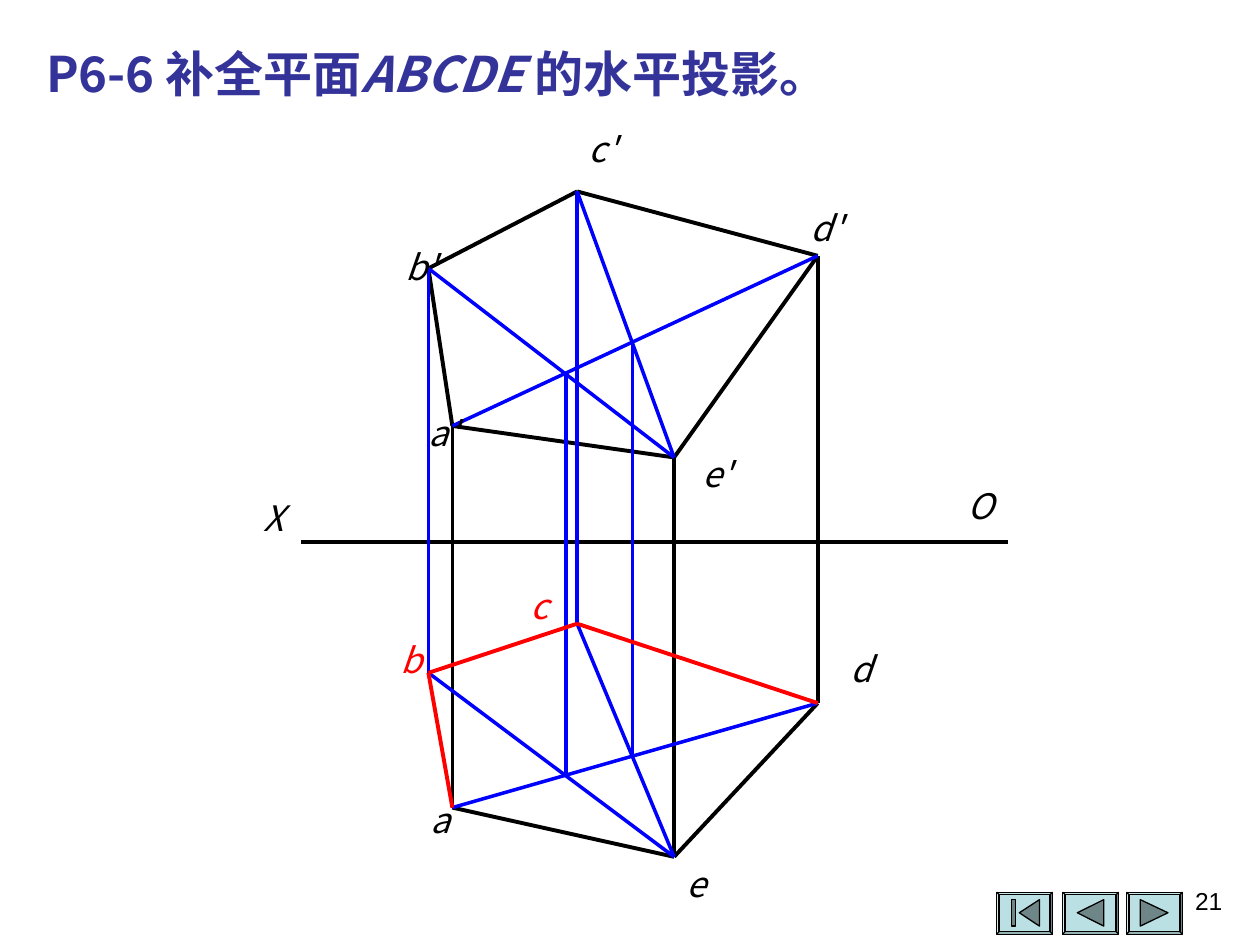
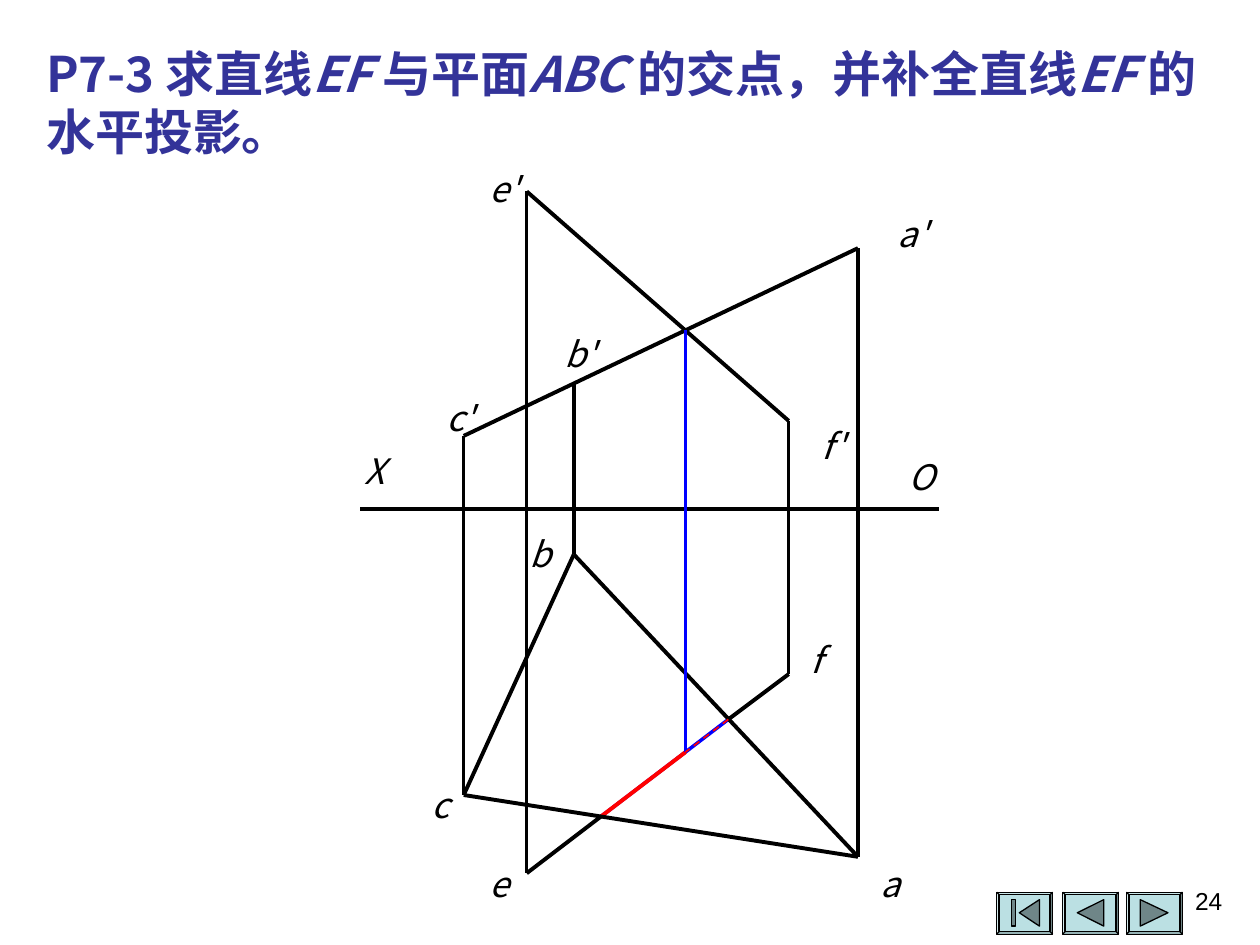
import pptx
import pptx.dml.color
import pptx.enum.dml
import pptx.enum.shapes
import pptx.enum.text
import pptx.oxml.ns
import pptx.util
from lxml import etree

Pt = pptx.util.Pt
ALIGN = pptx.enum.text.PP_ALIGN
SHAPE = pptx.enum.shapes.MSO_SHAPE
SANS = "Noto Sans CJK SC"
BLACK, BLUE, RED = "000000", "0000FF", "FF0000"
NAVY, TEAL, SLATE = "333399", "BBE0E3", "6F8688"
BOLD, FINE = 2.25, 0


def tint(target, code):
    """Colour a font, line or fill with a hex string."""
    if hasattr(target, "solid"):
        target.solid()
        target = target.fore_color
    else:
        target = target.color
    target.rgb = pptx.dml.color.RGBColor.from_string(code)


def write(page, text, x, y, w, h, size=20, color=BLACK, font=SANS, bold=False,
          align=ALIGN.CENTER, pad=(0, 0), wrap=False, line=1.3, grow=True):
    """Add a text box; text between asterisks is italic."""
    box = page.shapes.add_textbox(Pt(x), Pt(y), Pt(w), Pt(h))
    frame = box.text_frame
    frame.word_wrap = wrap
    if grow:
        frame.auto_size = pptx.enum.text.MSO_AUTO_SIZE.SHAPE_TO_FIT_TEXT
    frame.margin_left = frame.margin_right = Pt(pad[0])
    frame.margin_top = frame.margin_bottom = Pt(pad[1])
    para = frame.paragraphs[0]
    para.alignment = align
    if line:
        para.line_spacing = Pt(line * size)
    for i, part in enumerate(text.split("*")):
        if not part:
            continue
        run = para.add_run()
        run.text = part
        run.font.name, run.font.size = font, Pt(size)
        run.font.bold, run.font.italic = bold, i % 2 == 1
        tint(run.font, color)
        latin = run.font._element.find(pptx.oxml.ns.qn("a:latin"))
        east = etree.Element(pptx.oxml.ns.qn("a:ea"), typeface=font)
        latin.addnext(east)


# Each point: x, height in the front view, height in the plan.
# In an edge, capitals mean the front view and small letters the plan.
# Each label: text, left, top, colour.
pages = [
    dict(
        title="P6-6 补全平面*ABCDE *的水平投影。", rows=1, number="21",
        axis=(172.1, 576, 309.6),
        points=dict(
            a=(258.5, 243.4, 461.5), b=(244.8, 153.4, 384.5),
            c=(329.8, 109.4, 356.4), d=(467.3, 146.2, 401.8),
            e=(385.2, 261.4, 489.6), m=(361.4, 195.8, 432),
            n=(323.3, 213.8, 442.8)),
        edges=[
            ("BA AE BC ED DC ae de", BLACK, BOLD, False),
            ("Ee Dd Aa", BLACK, FINE, False),
            ("ad AD EC Mm ec Cc BE Nn eb Bb", BLUE, FINE, False),
            ("ab bc cd", RED, BOLD, False)],
        labels=[
            ("a'", 241.2, 233.3, BLACK), ("e'", 397.4, 256.3, BLACK),
            ("b'", 228.2, 138.2, BLACK), ("d'", 460.1, 115.9, BLACK),
            ("c'", 331.9, 70.6, BLACK), ("e", 391.7, 491, BLACK),
            ("a", 245.5, 454.3, BLACK), ("d", 486, 367.9, BLACK),
            ("b", 229, 362.9, RED), ("c", 302.4, 331.9, RED),
            ("X", 150.5, 281.5, BLACK), ("O", 553, 275, BLACK)]),
    dict(
        title="P7-3 求直线*EF *与平面*ABC *的交点，并补全直线*EF *的水平投影。",
        rows=2, number="24",
        axis=(205.9, 536.4, 290.9),
        points=dict(
            a=(490.3, 141.8, 489.6), b=(327.9, 218.9, 316.8),
            c=(265, 249.1, 454.3), e=(301, 109.4, 499),
            f=(450.7, 240.5, 385.2), k=(391.7, 188.6, 429.8),
            p=(343.4, 0, 466.6), q=(416.2, 0, 411.1)),
        edges=[
            ("qp", BLUE, FINE, False),
            ("kp", RED, BOLD, False),
            ("ca CA cb ba EF ep qf", BLACK, BOLD, False),
            ("Aa Cc Bb Ee Ff", BLACK, FINE, False),
            ("Kk", BLUE, FINE, False),
            ("qk", RED, 1, True)],
        labels=[
            ("a'", 509, 119.5, BLACK), ("c'", 250.6, 224.6, BLACK),
            ("b'", 319, 187.9, BLACK), ("e'", 275.8, 93.6, BLACK),
            ("f'", 463.7, 240.5, BLACK), ("c", 245.5, 445.7, BLACK),
            ("b", 302.4, 302.4, BLACK), ("a", 502.6, 491, BLACK),
            ("e", 279.4, 491, BLACK), ("f", 460.1, 362.9, BLACK),
            ("X", 208.1, 254.9, BLACK), ("O", 519.1, 258.5, BLACK)]),
]

# Each button: left edge, then the outlines of its icon.
top, mid, base = 514.1, 521.6, 529.2
buttons = [
    (569.5, [[(582.5, mid), (594, top), (594, base)],
             [(578.2, top), (580.3, top), (580.3, base), (578.2, base)]]),
    (607.2, [[(615.6, mid), (630.7, top), (630.7, base)]]),
    (643.7, [[(651.6, top), (667.4, mid), (651.6, base)]]),
]

deck = pptx.Presentation()
deck.slide_width, deck.slide_height = Pt(720), Pt(540)

for plan in pages:
    page = deck.slides.add_slide(deck.slide_layouts[6])

    for left, icons in buttons:
        key = page.shapes.add_shape(SHAPE.BEVEL, Pt(left), Pt(509.8), Pt(32), Pt(24))
        key.adjustments[0] = 0.06
        parts = [(key, TEAL)]
        for icon in icons:
            spots = [(Pt(x), Pt(y)) for x, y in icon]
            pen = page.shapes.build_freeform(*spots[0])
            pen.add_line_segments(spots[1:], close=True)
            parts.append((pen.convert_to_shape(), SLATE))
        for part, color in parts:
            part.shadow.inherit = False
            tint(part.fill, color)
            tint(part.line, BLACK)
            part.line.width = Pt(0.75)

    write(page, plan["title"], 19.4, 21.1, 686.2, 7.4 + 33.6 * plan["rows"],
          size=28, color=NAVY, bold=True, align=ALIGN.LEFT, pad=(7.2, 3.6),
          wrap=True, line=1.2)

    left, right, level = plan["axis"]
    lines = [((left, level), (right, level), BLACK, FINE, False)]
    for names, color, width, dash in plan["edges"]:
        for edge in names.split():
            ends = []
            for name in edge:
                x, front, low = plan["points"][name.lower()]
                ends.append((x, front if name.isupper() else low))
            lines.append((*ends, color, width, dash))
    for start, end, color, width, dash in lines:
        line = page.shapes.add_connector(
            pptx.enum.shapes.MSO_CONNECTOR.STRAIGHT,
            *[Pt(v) for v in start + end])
        tint(line.line, color)
        line.line.width = Pt(width)
        if dash:
            line.line.dash_style = pptx.enum.dml.MSO_LINE.DASH
        etree.SubElement(line._element.spPr, pptx.oxml.ns.qn("a:effectLst"))

    for name, x, y, color in plan["labels"]:
        origin = name == "O"
        write(page, f"*{name}*", x, y, 22.3 if origin else 12.2 * len(name), 24,
              color=color, wrap=origin,
              align=ALIGN.LEFT if origin else ALIGN.CENTER)

    write(page, plan["number"], 537.8, 502.6, 167.8, 37.4, size=14, font="Arial",
          align=ALIGN.RIGHT, pad=(7.2, 3.6), wrap=True, line=None, grow=False)

deck.save("out.pptx")
